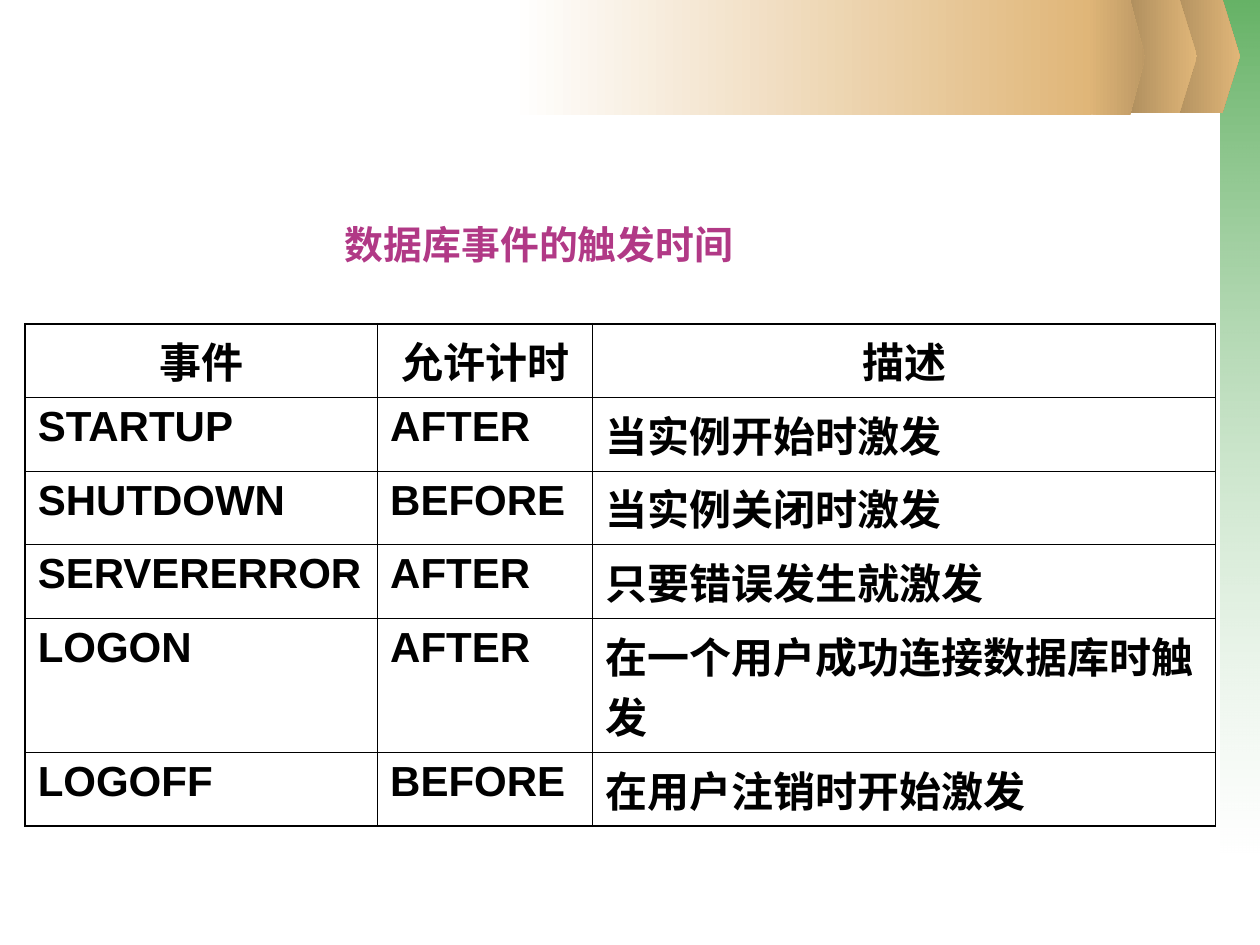
from dataclasses import dataclass
from typing import Optional

from lxml.etree import SubElement
from pptx import Presentation
from pptx.dml.color import RGBColor as RGB
from pptx.enum.shapes import MSO_SHAPE as SHAPE
from pptx.enum.text import PP_ALIGN as ALIGN
from pptx.oxml.ns import qn
from pptx.util import Pt


@dataclass(frozen=True)
class Theme:
    font: str = "Arial"
    title_size: float = 22.2
    cell_size: float = 24
    title: str = "B13986"
    ink: str = "000000"
    white: str = "FFFFFF"
    green: str = "339933"
    sand: str = "E0B678"
    dark_sand: str = "AB8B5C"
    mid_sand: str = "BD9965"
    outer_line: float = 1.08
    inner_line: float = 0.45


@dataclass(frozen=True)
class Gradient:
    start: str
    end: str
    angle: float = 0
    alphas: Optional[tuple[int, int]] = None


@dataclass(frozen=True)
class Band:
    left: float
    width: float
    height: float
    gradient: Gradient


@dataclass(frozen=True)
class Chevron:
    left: float
    top: float
    shoulder: float
    width: float
    gradient: Gradient


T = Theme()
BANNER_H = 65.5
GREEN_FADE = Gradient(T.green, T.white, 270, (75, 37))
SHADED = Gradient(T.dark_sand, T.sand)

SIDE_BAR = Band(697.7, 22.3, 487.4, GREEN_FADE)
BANNER = Band(292.3, 331.2, BANNER_H, Gradient(T.white, T.sand))
BACK_CHEVRONS = [
    Chevron(666, -0.7, 32.4, 42.5, SHADED),
    Chevron(641.5, -0.7, 32.4, 42.5, SHADED),
]
FRONT_CHEVRON = Chevron(620.6, 0, 25.2, 33.8, Gradient(T.sand, T.mid_sand))

COL_WIDTHS = [201.4, 123, 355.8]
ROW_HEIGHTS = [38.2, 38.2, 38.2, 38.2, 69, 38.2]
ROWS = [
    ("事件", "允许计时", "描述"),
    ("STARTUP", "AFTER", "当实例开始时激发"),
    ("SHUTDOWN", "BEFORE", "当实例关闭时激发"),
    ("SERVERERROR", "AFTER", "只要错误发生就激发"),
    ("LOGON", "AFTER", "在一个用户成功连接数据库时触发"),
    ("LOGOFF", "BEFORE", "在用户注销时开始激发"),
]


def paint(sp, g: Gradient) -> None:
    sp.shadow.inherit = False
    sp.line.fill.background()
    sp.fill.gradient()
    sp.fill.gradient_angle = g.angle
    for stop, color in zip(sp.fill.gradient_stops, (g.start, g.end)):
        stop.color.rgb = RGB.from_string(color)
    if g.alphas:
        for clr, alpha in zip(sp._element.spPr.iter(qn("a:srgbClr")), g.alphas):
            SubElement(clr, qn("a:alpha"), val=str(alpha * 1000))


def draw_band(s, b: Band) -> None:
    sp = s.shapes.add_shape(SHAPE.RECTANGLE, Pt(b.left), 0, Pt(b.width), Pt(b.height))
    paint(sp, b.gradient)


def draw_chevron(s, c: Chevron) -> None:
    shoulder, tip = c.left + c.shoulder, c.left + c.width
    bottom = c.top + BANNER_H
    points = [(shoulder, c.top), (tip, c.top + BANNER_H / 2),
              (shoulder, bottom), (c.left, bottom)]
    fb = s.shapes.build_freeform(Pt(c.left), Pt(c.top))
    fb.add_line_segments([(Pt(x), Pt(y)) for x, y in points], close=True)
    paint(fb.convert_to_shape(), c.gradient)


def write(tf, text: str, size: float, color: str, align=ALIGN.LEFT) -> None:
    p = tf.paragraphs[0]
    p.alignment = align
    r = p.add_run()
    r.text = text
    for name, value in {"name": T.font, "size": Pt(size), "bold": True}.items():
        setattr(r.font, name, value)
    r.font.color.rgb = RGB.from_string(color)


def set_borders(cell, outer: dict[str, bool]) -> None:
    tc_pr = cell._tc.get_or_add_tcPr()
    for side, is_outer in outer.items():
        width = T.outer_line if is_outer else T.inner_line
        ln = SubElement(tc_pr, qn(f"a:ln{side}"), w=str(Pt(width)))
        SubElement(SubElement(ln, qn("a:solidFill")), qn("a:srgbClr"), val=T.ink)


def draw_table(s, left: float, top: float) -> None:
    n_rows, n_cols = len(ROWS), len(COL_WIDTHS)
    table = s.shapes.add_table(n_rows, n_cols, Pt(left), Pt(top),
                               Pt(sum(COL_WIDTHS)), Pt(sum(ROW_HEIGHTS))).table
    table.first_row = table.horz_banding = False
    for col, width in zip(table.columns, COL_WIDTHS):
        col.width = Pt(width)
    for i, (row, height) in enumerate(zip(table.rows, ROW_HEIGHTS)):
        row.height = Pt(height)
        for j, cell in enumerate(row.cells):
            set_borders(cell, {"L": j == 0, "R": j == n_cols - 1,
                               "T": i == 0, "B": i == n_rows - 1})
            cell.fill.background()
            write(cell.text_frame, ROWS[i][j], T.cell_size, T.ink,
                  ALIGN.LEFT if i else ALIGN.CENTER)


def draw_title(s, text: str) -> None:
    sp = s.shapes.add_textbox(Pt(190), Pt(122.4), Pt(317.5), Pt(33.8))
    sp.text_frame.word_wrap = True
    write(sp.text_frame, text, T.title_size, T.title)


def main() -> None:
    prs = Presentation()
    prs.slide_width, prs.slide_height = Pt(720), Pt(540)
    s = prs.slides.add_slide(prs.slide_layouts[6])
    draw_band(s, SIDE_BAR)
    for chevron in BACK_CHEVRONS:
        draw_chevron(s, chevron)
    draw_band(s, BANNER)
    draw_chevron(s, FRONT_CHEVRON)
    draw_table(s, 14.4, 185)
    draw_title(s, "数据库事件的触发时间")
    prs.save("out.pptx")


if __name__ == "__main__":
    main()
